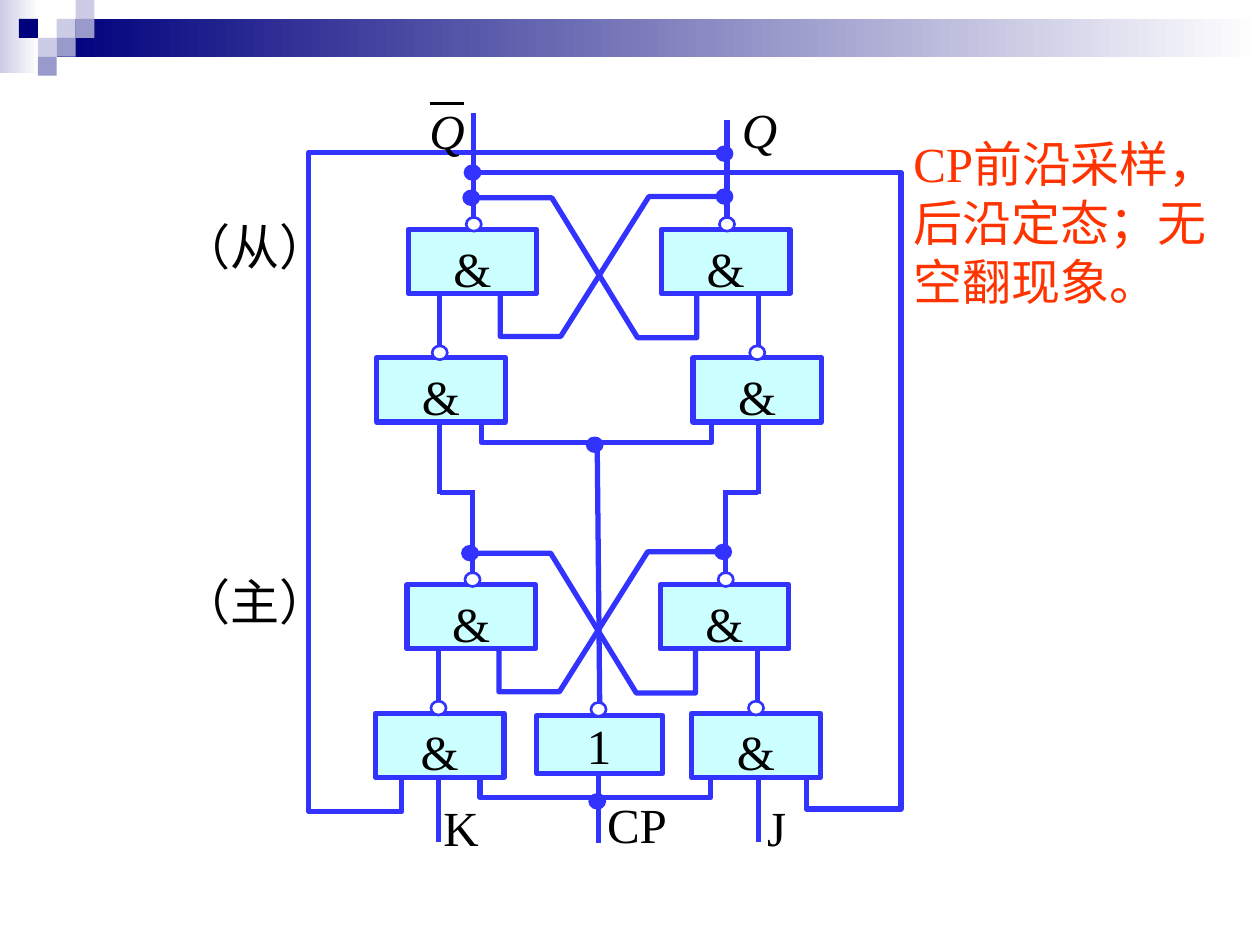
from lxml import etree
from pptx import Presentation
from pptx.dml.color import RGBColor as RGB
from pptx.enum.shapes import MSO_CONNECTOR as LINK, MSO_SHAPE as SHAPE
from pptx.enum.text import MSO_AUTO_SIZE as AUTO
from pptx.oxml.ns import qn
from pptx.util import Inches, Pt

HUE = {"wire": "3333FF", "gate": "CCFFFF", "white": "FFFFFF", "ink": "000000",
       "note": "FF3300", "navy": "00007D", "pale": "CCCCE6", "mid": "9999CC"}
GATE_W, GATE_H = 1.02, 0.51
DOT_W, DOT_H = 0.12, 0.11


def color(name):
    return RGB.from_string(HUE[name])


def block(slide, kind, box, fill, line=None, weight=3):
    shape = slide.shapes.add_shape(kind, *map(Inches, box))
    shape.shadow.inherit = False
    if isinstance(fill, tuple):
        shape.fill.gradient()
        shape.fill.gradient_angle = 0
        for stop, hue in zip(shape.fill.gradient_stops, fill):
            stop.color.rgb = color(hue)
    else:
        shape.fill.solid()
        shape.fill.fore_color.rgb = color(fill)
    if line:
        shape.line.color.rgb = color(line)
        shape.line.width = Pt(weight)
    else:
        shape.line.fill.background()


def wire(slide, *points, hue="wire", weight=3):
    """Straight connector for two points, open outline for more."""
    spots = [(Inches(x), Inches(y)) for x, y in points]
    if len(spots) == 2:
        part = slide.shapes.add_connector(LINK.STRAIGHT, *spots[0], *spots[1])
    else:
        trace = slide.shapes.build_freeform(*spots[0])
        trace.add_line_segments(spots[1:], close=False)
        part = trace.convert_to_shape()
        part.fill.background()
    part.line.color.rgb = color(hue)
    part.line.width = Pt(weight)
    if len(spots) > 2:
        etree.SubElement(part.line._get_or_add_ln(), qn("a:round"))
        part.shadow.inherit = False
    else:
        etree.SubElement(part._element.spPr, qn("a:effectLst"))


def oval(slide, x, y, fill="wire"):
    """Small oval centred on x, y: solid for a node, white for an inverter."""
    box = (x - DOT_W / 2, y - DOT_H / 2, DOT_W, DOT_H)
    block(slide, SHAPE.OVAL, box, fill, "wire", 1.5)


def label(slide, box, *lines, hue="ink", italic=False):
    frame = slide.shapes.add_textbox(*map(Inches, box)).text_frame
    layout = {"word_wrap": True, "auto_size": AUTO.NONE, "margin_right": 0}
    for key, value in layout.items():
        setattr(frame, key, value)
    style = {"size": Pt(28), "name": "Times New Roman", "italic": italic}
    for i, line in enumerate(lines):
        para = frame.add_paragraph() if i else frame.paragraphs[0]
        run = para.add_run()
        run.text = line
        run.font.color.rgb = color(hue)
        for key, value in style.items():
            setattr(run.font, key, value)


def banner(slide, x, y):
    """Corner fade, title bar and pixel squares."""
    block(slide, SHAPE.RECTANGLE, (x, y, 0.31, 0.58), ("pale", "white"))
    block(slide, SHAPE.RECTANGLE, (x + 0.45, y + 0.15, 9.55, 0.3), ("navy", "white"))
    cell = 0.15
    for col, row, hue in ((3, 1, "pale"), (4, 0, "pale"), (4, 1, "mid"), (2, 2, "pale"),
                          (1, 1, "navy"), (3, 2, "mid"), (2, 3, "mid")):
        block(slide, SHAPE.RECTANGLE, (x + col * cell, y + row * cell, cell, cell), hue)


def latch(slide, x, y):
    """Four gates, cross-coupled at the top and joined by the clock below."""
    def at(*points):
        return [(x + dx, y + dy) for dx, dy in points]

    # Cross coupling, links between the rows, clock rail
    wire(slide, *at((0.98, 0.51), (0.98, 0.85), (1.46, 0.85), (2.16, -0.26), (2.8, -0.26)))
    wire(slide, *at((2.54, 0.52), (2.54, 0.86), (2.07, 0.86), (1.39, -0.25), (0.76, -0.25)))
    for dx in (0.5, 3.03):
        wire(slide, *at((dx, 0.49), (dx, 1)))
    wire(slide, *at((0.83, 1.51), (0.83, 1.69), (2.66, 1.69), (2.66, 1.51)))

    # Gates with their inverters
    for dx, dy, tip in ((0.25, 0, 0.52), (2.26, 0, 0.52), (0, 1.02, 0.5), (2.51, 1.02, 0.51)):
        block(slide, SHAPE.RECTANGLE, (x + dx, y + dy, GATE_W, GATE_H), "gate", "wire")
        label(slide, (x + dx + 0.26, y + dy + 0.02, 0.5, 0.57), "&")
        oval(slide, x + dx + tip, y + dy - 0.04, "white")
    for dx, dy in ((0.75, -0.25), (2.76, -0.26)):
        oval(slide, x + dx, y + dy)


def feedback(slide, x, y):
    """Outputs and the loops from them back to the inputs."""
    wire(slide, (x + 1.31, y + 0.82), (x + 1.31, y))
    wire(slide, (x + 3.32, y + 0.82), (x + 3.32, y + 0.05))
    wire(slide, (x + 0.74, y + 4.98), (x + 0.74, y + 5.54), (x, y + 5.54),
         (x, y + 0.31), (x + 3.34, y + 0.31))
    wire(slide, (x + 3.95, y + 4.97), (x + 3.95, y + 5.52), (x + 4.7, y + 5.52),
         (x + 4.7, y + 0.47), (x + 1.28, y + 0.47))
    oval(slide, x + 3.3, y + 0.32)
    oval(slide, x + 1.3, y + 0.47)
    label(slide, (x + 0.86, y - 0.15, 0.48, 0.57), "Q", italic=True)
    wire(slide, (x + 0.96, y - 0.08), (x + 1.23, y - 0.08), hue="ink", weight=1.5)
    label(slide, (x + 3.34, y - 0.16, 0.48, 0.57), "Q", italic=True)


def bridge(slide, x, y):
    """Master outputs stepping up to the slave inputs."""
    for low, high in ((0.26, 0), (2.27, 2.53)):
        wire(slide, (x + high, y), (x + high, y + 0.57))
        wire(slide, (x + high, y + 0.56), (x + low, y + 0.56))
        wire(slide, (x + low, y + 0.54), (x + low, y + 1.19))


def clock(slide, x, y):
    """Inverter in the clock line, and the input pins."""
    wire(slide, (x + 0.5, y - 0.07), (x + 0.48, y - 2.15))
    wire(slide, (x + 0.49, y + 0.45), (x + 0.49, y + 1.01))
    for dx in (-0.78, 1.76):
        wire(slide, (x + dx, y + 0.49), (x + dx, y + 1))
    block(slide, SHAPE.RECTANGLE, (x, y, 1, 0.46), "gate", "wire")
    label(slide, (x + 0.3, y - 0.05, 0.39, 0.57), "1")
    oval(slide, x + 0.49, y - 0.05, "white")
    oval(slide, x + 0.46, y - 2.15)
    oval(slide, x + 0.48, y + 0.68)
    for text, dx, dy, wide in (("K", -0.84, 0.6, 0.48), ("J", 1.73, 0.6, 0.35),
                               ("CP", 0.46, 0.58, 0.67)):
        label(slide, (x + dx, y + dy, wide, 0.57), text)


def main():
    deck = Presentation()
    deck.slide_width, deck.slide_height = Inches(10), Inches(7.5)
    slide = deck.slides.add_slide(deck.slide_layouts[6])
    banner(slide, 0, 0)
    feedback(slide, 2.45, 0.9)
    bridge(slide, 3.49, 3.35)
    for text, x, y in (("（从）", 2.99, 1.82), ("（主）", 2.98, 4.64)):
        latch(slide, x, y)
        label(slide, (1.34, y - 0.15, 1.36, 0.57), text)
    clock(slide, 4.26, 5.68)
    label(slide, (7.15, 1.01, 2.71, 1.5), "CP前沿采样，", "后沿定态；无", "空翻现象。", hue="note")
    deck.save("out.pptx")


if __name__ == "__main__":
    main()
